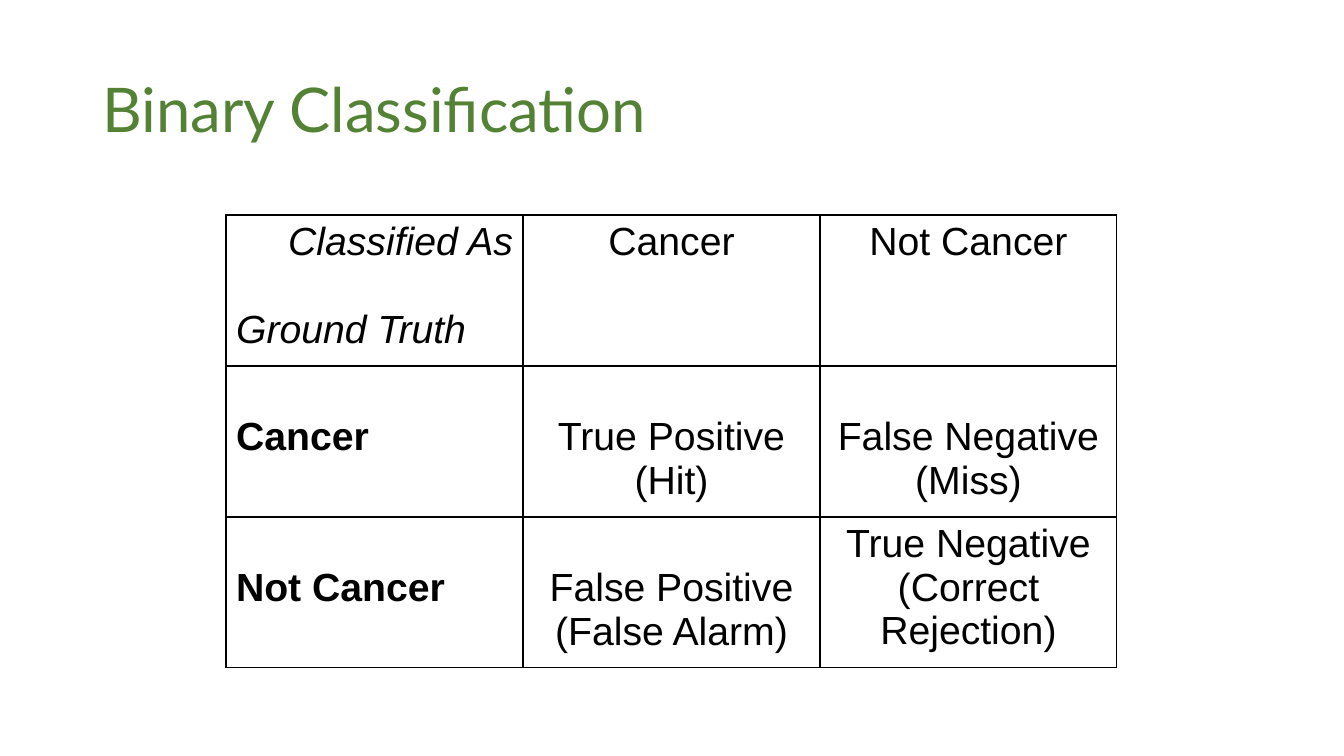
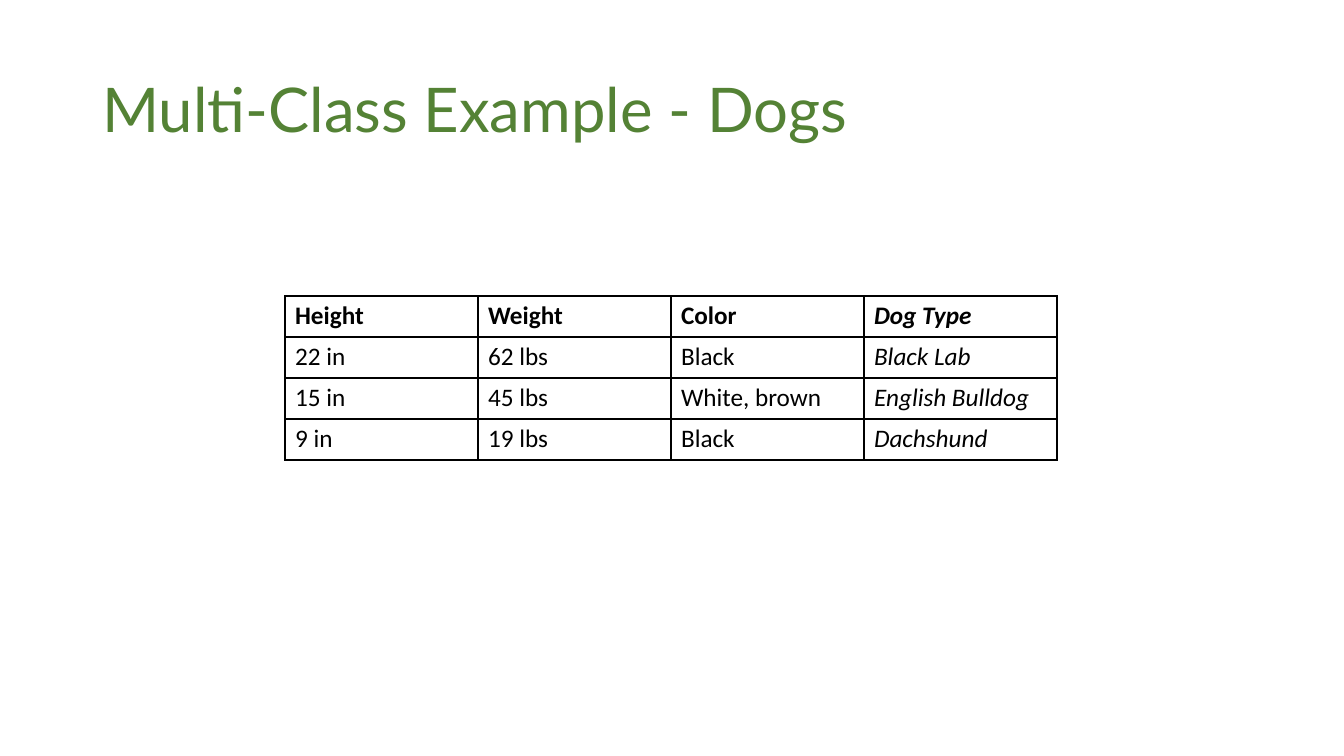
from dataclasses import dataclass

from lxml.etree import SubElement
from pptx import Presentation
from pptx.dml.color import RGBColor
from pptx.enum.text import MSO_ANCHOR, MSO_AUTO_SIZE, PP_ALIGN as Align
from pptx.oxml.ns import qn
from pptx.util import Emu, Pt

EMU_PER_PX = 914400 / 100.8
SLIDE_W, SLIDE_H = 1344, 756
TITLE_BOX = (92, 40, 1159, 146)
LINE_GAP = 44
CELL_TOP = 5
BORDER_PT = 1
COLORS = {"title": "548235", "text": "000000", "border": "000000"}


@dataclass(frozen=True)
class Line:
    text: str
    bold: bool = False
    italic: bool = False
    align: Align = Align.LEFT
    before: int = 0


@dataclass(frozen=True)
class Cell:
    lines: tuple[Line, ...]
    top: int = CELL_TOP


@dataclass(frozen=True)
class Grid:
    left: int
    top: int
    col_w: int
    row_h: int
    font: str
    size: int
    rows: list[list[Cell]]


def px(n: int) -> Emu:
    return Emu(round(n * EMU_PER_PX))


def add_text(p, text: str, *, font: str, size: int, color: str,
             bold: bool = False, italic: bool = False,
             align: Align = Align.LEFT, before: int = 0) -> None:
    p.alignment = align
    if before:
        p.space_before = px(before)
    r = p.add_run()
    r.text = text
    r.font.name, r.font.size = font, Pt(size)
    r.font.bold, r.font.italic = bold, italic
    r.font.color.rgb = RGBColor.from_string(COLORS[color])


def add_title(slide, text: str) -> None:
    sp = slide.shapes.title
    sp.left, sp.top, sp.width, sp.height = map(px, TITLE_BOX)
    tf = sp.text_frame
    tf.word_wrap = True
    tf.auto_size = MSO_AUTO_SIZE.NONE
    tf.vertical_anchor = MSO_ANCHOR.MIDDLE
    p = tf.paragraphs[0]
    p.line_spacing = 0.9
    add_text(p, text, font="Lato", size=44, color="title")


def set_borders(cell) -> None:
    tc_pr = cell._tc.get_or_add_tcPr()
    for side in ("lnL", "lnR", "lnT", "lnB"):
        ln = SubElement(tc_pr, qn(f"a:{side}"), w=str(Pt(BORDER_PT)))
        fill = SubElement(ln, qn("a:solidFill"))
        SubElement(fill, qn("a:srgbClr"), val=COLORS["border"])


def fill_cell(cell, content: Cell, grid: Grid) -> None:
    set_borders(cell)
    cell.fill.background()
    cell.margin_top = px(content.top)
    tf = cell.text_frame
    for i, line in enumerate(content.lines):
        p = tf.add_paragraph() if i else tf.paragraphs[0]
        add_text(p, line.text, font=grid.font, size=grid.size, color="text",
                 bold=line.bold, italic=line.italic, align=line.align,
                 before=line.before)


def add_grid(slide, grid: Grid) -> None:
    n_rows, n_cols = len(grid.rows), len(grid.rows[0])
    table = slide.shapes.add_table(
        n_rows, n_cols, px(grid.left), px(grid.top),
        px(grid.col_w * n_cols), px(grid.row_h * n_rows)).table
    table.first_row = table.horz_banding = False
    for col in table.columns:
        col.width = px(grid.col_w)
    for r, row in enumerate(grid.rows):
        table.rows[r].height = px(grid.row_h)
        for c, content in enumerate(row):
            fill_cell(table.cell(r, c), content, grid)


def centered(*texts: str, lowered: bool = False) -> Cell:
    """Centred lines, moved down by one line if lowered."""
    top = CELL_TOP + LINE_GAP * lowered
    return Cell(tuple(Line(t, align=Align.CENTER) for t in texts), top)


def row_label(text: str) -> Cell:
    return Cell((Line(text, bold=True),), CELL_TOP + LINE_GAP)


def dog_row(*texts: str, header: bool = False) -> list[Cell]:
    """A row whose last column, the class to predict, is in italics."""
    last = len(texts) - 1
    return [Cell((Line(t, bold=header, italic=i == last),))
            for i, t in enumerate(texts)]


CONFUSION = Grid(226, 215, 297, 151, "Arial", 28, [
    [Cell((Line("Classified As", italic=True, align=Align.RIGHT),
           Line("Ground Truth", italic=True, before=LINE_GAP))),
     centered("Cancer"), centered("Not Cancer")],
    [row_label("Cancer"),
     centered("True Positive", "(Hit)", lowered=True),
     centered("False Negative", "(Miss)", lowered=True)],
    [row_label("Not Cancer"),
     centered("False Positive", "(False Alarm)", lowered=True),
     centered("True Negative", "(Correct Rejection)")],
])

DOGS = Grid(285, 296, 193, 41, "Calibri", 18, [
    dog_row("Height", "Weight", "Color", "Dog Type", header=True),
    dog_row("22 in", "62 lbs", "Black", "Black Lab"),
    dog_row("15 in", "45 lbs", "White, brown", "English Bulldog"),
    dog_row("9 in", "19 lbs", "Black", "Dachshund"),
])

SLIDES = {
    "Binary Classification": CONFUSION,
    "Multi-Class Example - Dogs": DOGS,
}


def main() -> None:
    prs = Presentation()
    prs.slide_width, prs.slide_height = px(SLIDE_W), px(SLIDE_H)
    title_only = prs.slide_layouts.get_by_name("Title Only")
    for title, grid in SLIDES.items():
        slide = prs.slides.add_slide(title_only)
        add_title(slide, title)
        add_grid(slide, grid)
    prs.save("out.pptx")


if __name__ == "__main__":
    main()
